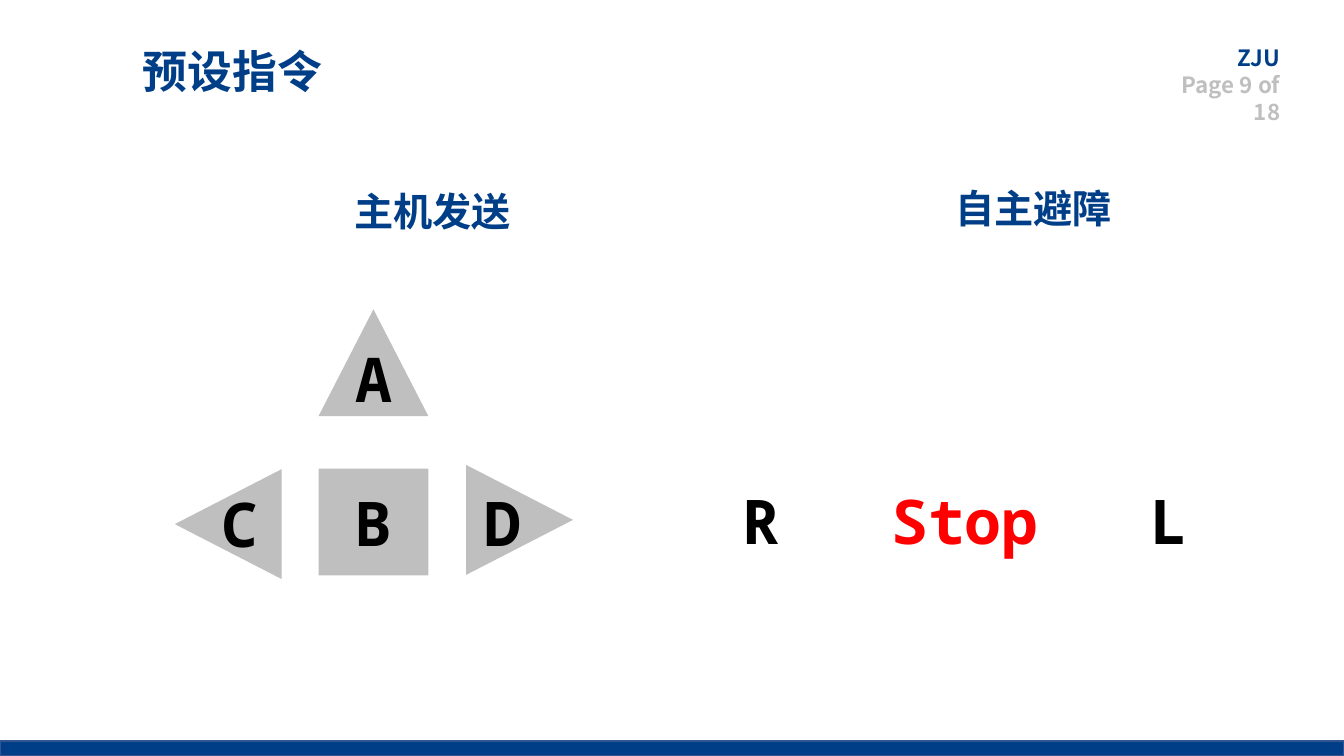
from pptx import Presentation
from pptx.dml.color import RGBColor
from pptx.enum.shapes import MSO_SHAPE
from pptx.enum.text import MSO_ANCHOR, MSO_AUTO_SIZE, PP_ALIGN
from pptx.util import Pt

NAVY = RGBColor(0x00, 0x3F, 0x88)
BAR_EDGE = RGBColor(0x32, 0x54, 0x91)
GREY = RGBColor(0xBF, 0xBF, 0xBF)
BLACK = RGBColor(0x00, 0x00, 0x00)
RED = RGBColor(0xFF, 0x00, 0x00)

HEADING_FONT = "Arial"
PAGE_FONT = "Noto Sans CJK SC"
KEY_FONT = "Noto Sans Mono"
KEY_WIDTH, KEY_HEIGHT = 78.5, 76.3


class CommandSlide:
    def __init__(self, deck):
        self.slide = deck.slides.add_slide(deck.slide_layouts[6])

    def set_lines(self, frame, lines, size, font, align):
        """Fill a text frame with (text, colour) lines."""
        for index, (text, color) in enumerate(lines):
            paragraph = frame.add_paragraph() if index else frame.paragraphs[0]
            paragraph.text = text
            paragraph.alignment = align
            paragraph.font.size = Pt(size)
            paragraph.font.name = font
            paragraph.font.bold = True
            paragraph.font.color.rgb = color

    def text(self, left, top, width, height, lines, size,
             font=HEADING_FONT, align=PP_ALIGN.LEFT, wrap=True):
        box = self.slide.shapes.add_textbox(Pt(left), Pt(top), Pt(width), Pt(height))
        box.text_frame.word_wrap = wrap
        box.text_frame.auto_size = MSO_AUTO_SIZE.SHAPE_TO_FIT_TEXT
        self.set_lines(box.text_frame, lines, size, font, align)

    def key_label(self, left, top, text, color=BLACK, width=59):
        self.text(left, top, width, 60.5, [(text, color)], 44, KEY_FONT, PP_ALIGN.CENTER)

    def block(self, kind, left, top, width, height, fill, edge=None, rotation=0):
        shape = self.slide.shapes.add_shape(kind, Pt(left), Pt(top), Pt(width), Pt(height))
        shape.shadow.inherit = False
        shape.rotation = rotation
        shape.fill.solid()
        shape.fill.fore_color.rgb = fill
        if edge is None:
            shape.line.fill.background()
        else:
            shape.line.color.rgb = edge
            shape.line.width = Pt(1)
        return shape

    def key(self, kind, left, top, rotation=0):
        return self.block(kind, left, top, KEY_WIDTH, KEY_HEIGHT, GREY, rotation=rotation)


def main():
    deck = Presentation()
    deck.slide_width, deck.slide_height = Pt(960), Pt(540)
    page = CommandSlide(deck)

    # Title, page number and footer bar
    page.text(95, 28, 144, 46, [("预设指令", NAVY)], 32, wrap=False)
    page.text(815.8, 28, 105.8, 46, [("ZJU", NAVY), ("Page 9 of 18", GREY)],
              16, PAGE_FONT, PP_ALIGN.RIGHT)
    page.block(MSO_SHAPE.RECTANGLE, 0, 529.2, 960, 10.8, NAVY, BAR_EDGE)

    # Column headings
    page.text(675.4, 128.2, 130.3, 41, [("自主避障", NAVY)], 28)
    page.text(246.2, 130.3, 136.8, 41, [("主机发送", NAVY)], 28)

    # Direction keys sent by the host
    center_key = page.key(MSO_SHAPE.RECTANGLE, 227.5, 334.8)
    center_key.text_frame.vertical_anchor = MSO_ANCHOR.MIDDLE
    page.set_lines(center_key.text_frame, [("B", BLACK)], 44, KEY_FONT, PP_ALIGN.CENTER)
    for left, top, rotation in ((227.5, 221, 0), (331.9, 333.2, 90), (123.8, 336.2, 270)):
        page.key(MSO_SHAPE.ISOSCELES_TRIANGLE, left, top, rotation)
    for letter, left, top in (("A", 237.6, 239.8), ("C", 141.8, 343.4), ("D", 329.8, 342.7)):
        page.key_label(left, top, letter)

    # Obstacle avoidance commands
    page.key_label(514.1, 341.3, "R")
    page.key_label(805.7, 341.3, "L")
    page.key_label(624.2, 341.3, "Stop", RED, 130.3)

    deck.save("out.pptx")


if __name__ == "__main__":
    main()
